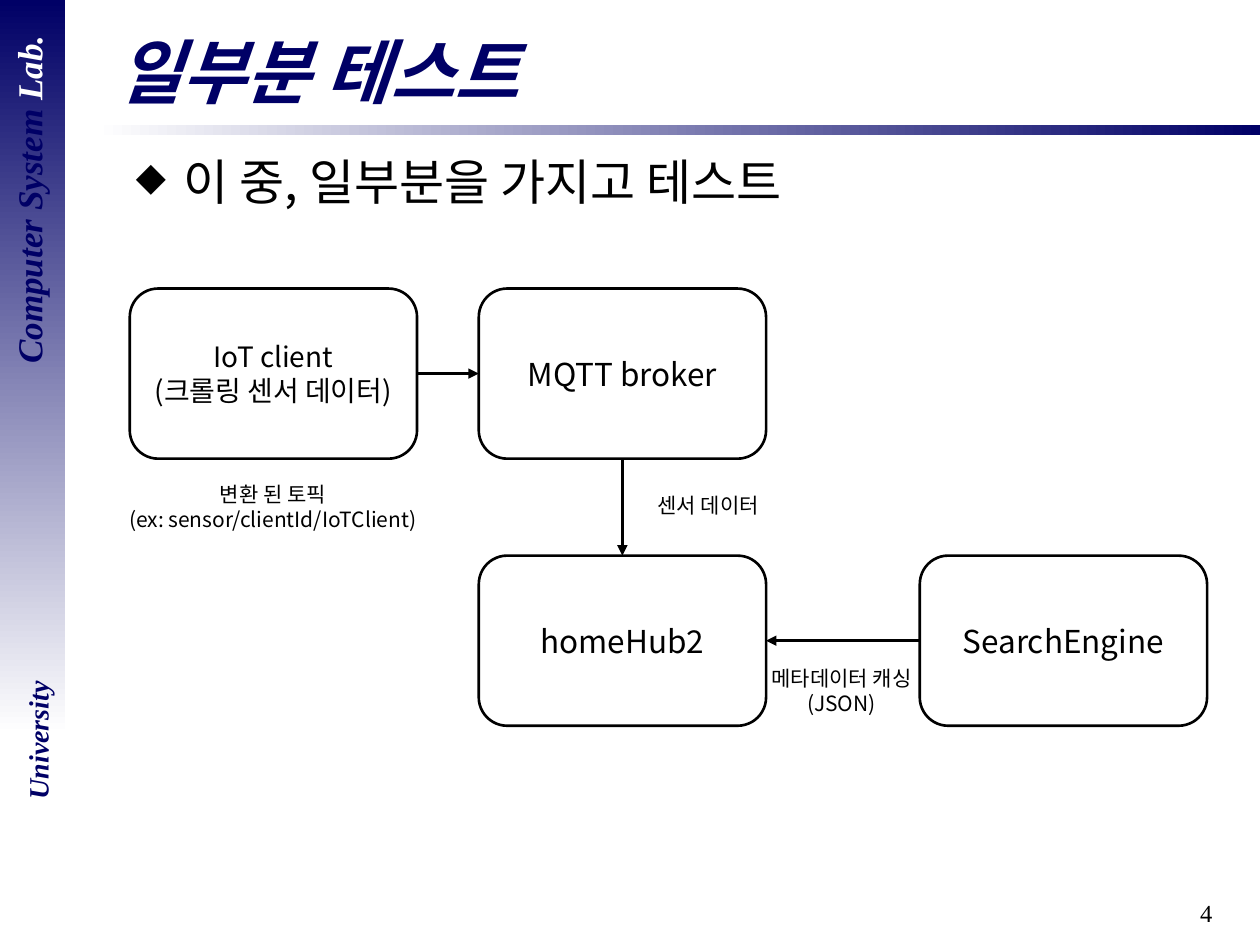
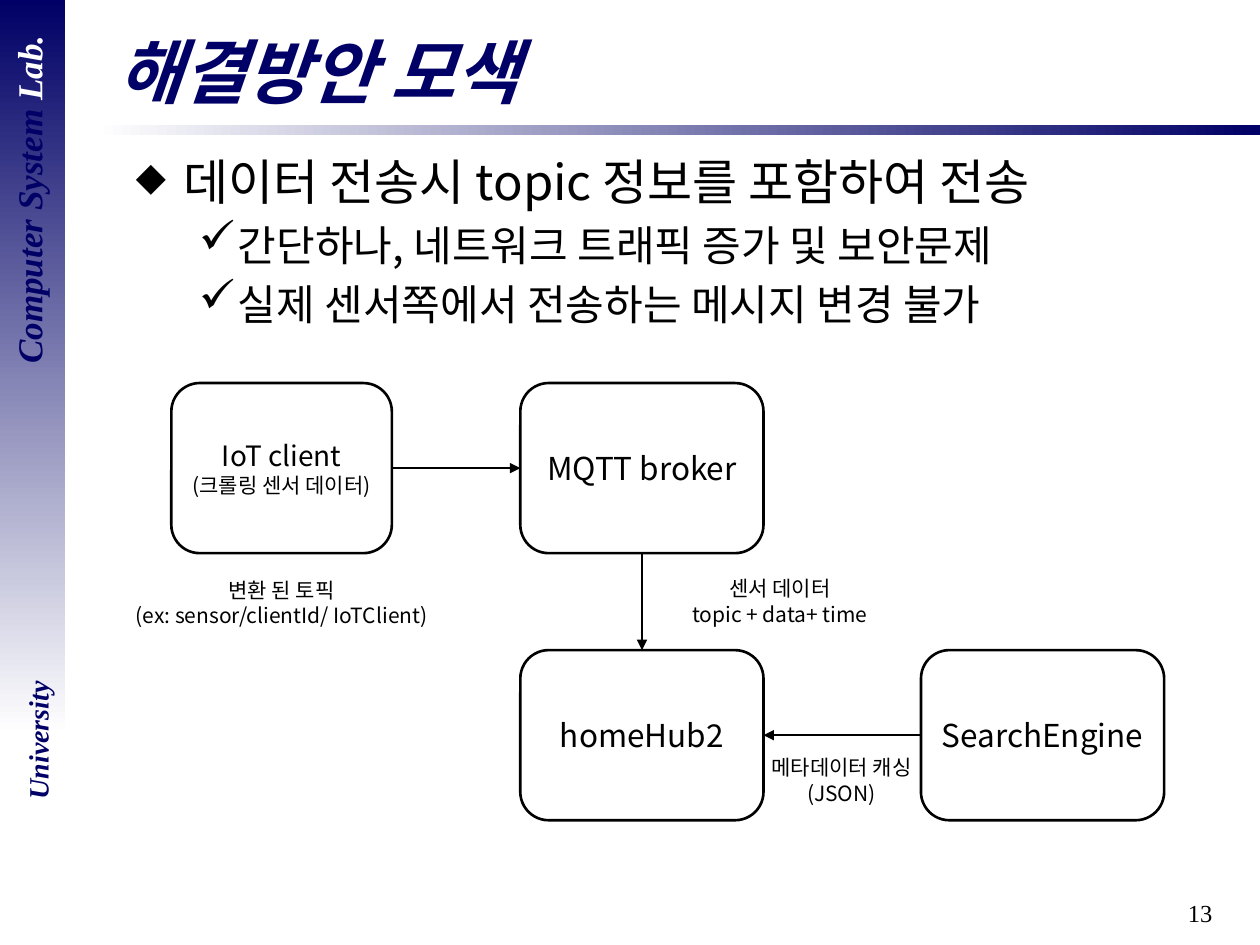
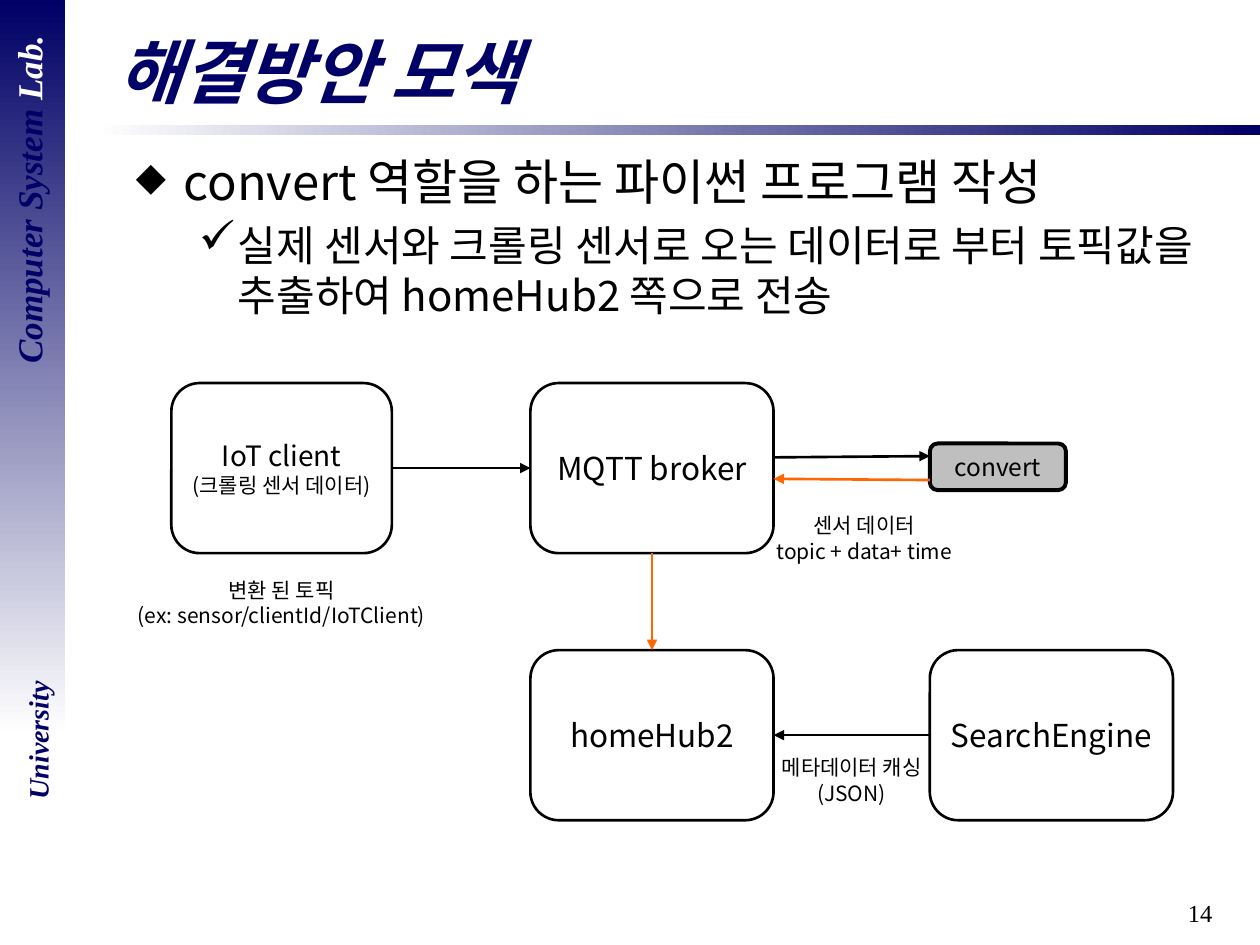
from dataclasses import dataclass
from typing import NamedTuple

from lxml import etree
from pptx import Presentation, util as u
from pptx.dml import color as dml
from pptx.enum import shapes as es, text as et
from pptx.oxml import ns

WIDE, HIGH = u.Inches(10), u.Inches(7.5)
COLS, ROWS = 100, 75  # the grid that all frames use

NAVY, BLACK, WHITE = "000066", "000000", "FFFFFF"
GREY, ORANGE = "BFBFBF", "FF6600"
SANS, SERIF = "Noto Sans CJK KR", "Times New Roman"
LEFT, MID, RIGHT = et.PP_ALIGN.LEFT, et.PP_ALIGN.CENTER, et.PP_ALIGN.RIGHT
TOP, SIDE, BASE, END = range(4)  # connection sites
LEAD = 1.21  # line pitch as a share of the text size


class Frame(NamedTuple):
    x: float
    y: float
    w: float
    h: float

    def emu(self) -> tuple:
        return (*spot(self.x, self.y), *spot(self.w, self.h))


class Line(NamedTuple):
    text: str
    size: float = 12


class Style(NamedTuple):
    font: str = SANS
    color: str = BLACK
    align: int = MID
    bold: bool = False  # bold and italic together


class Bullet(NamedTuple):
    size: int
    sign: str
    share: int
    left: float
    hang: float


@dataclass
class Box:
    frame: Frame
    lines: list
    fill: str = ""
    edge: float = 1.5


@dataclass
class Label:
    frame: Frame
    lines: list


@dataclass
class Plan:
    title: str
    page: str
    points: list  # (level, text)
    top: float  # first row of boxes
    first: Frame  # only x and w differ between slides
    hub: float
    width: float
    last: float
    note: float  # size of the second line in the first box
    flow: str
    labels: list
    convert: bool = False


BULLETS = [Bullet(28, "◆", 80, 0.38, 0.38), Bullet(24, "✓", 110, 0.81, 0.31)]
SERIF_BOLD = Style(SERIF, NAVY, MID, True)
BOX_H, STEP = 13.5, 21.2


# Helpers
def spot(x: float, y: float) -> tuple:
    return int(WIDE * x / COLS), int(HIGH * y / ROWS)


def rgb(code: str) -> dml.RGBColor:
    return dml.RGBColor.from_string(code)


def child(parent, tag: str, **attrs):
    return etree.SubElement(parent, ns.qn(tag), **attrs)


def write(par, line: Line, style: Style) -> None:
    par.text = line.text
    par.alignment = style.align
    font = par.font
    font.size, font.name = u.Pt(line.size), style.font
    font.bold = font.italic = style.bold
    font.color.rgb = rgb(style.color)
    child(par._p.pPr.find(ns.qn("a:defRPr")), "a:ea", typeface=style.font)
    if style.font == SANS:
        par.line_spacing = u.Pt(round(line.size * LEAD, 1))


def fill_text(frame, lines: list, style: Style = Style()) -> None:
    frame.word_wrap = True
    for i, line in enumerate(lines):
        par = frame.add_paragraph() if i else frame.paragraphs[0]
        write(par, line, style)


def add_text(slide, frame: Frame, lines: list, style: Style = Style(), turn: int = 0):
    box = slide.shapes.add_textbox(*frame.emu())
    box.rotation = turn
    fill_text(box.text_frame, lines, style)
    return box


def add_fade(slide, frame: Frame, start: str, stop: str, angle: int) -> None:
    band = slide.shapes.add_shape(es.MSO_SHAPE.RECTANGLE, *frame.emu())
    band.shadow.inherit = False
    band.line.fill.background()
    band.fill.gradient()
    band.fill.gradient_angle = angle
    for mark, code in zip(band.fill.gradient_stops, (start, stop)):
        mark.color.rgb = rgb(code)


def add_box(slide, box: Box):
    shape = slide.shapes.add_shape(es.MSO_SHAPE.ROUNDED_RECTANGLE, *box.frame.emu())
    shape.shadow.inherit = False
    if box.fill:
        shape.fill.solid()
        shape.fill.fore_color.rgb = rgb(box.fill)
    else:
        shape.fill.background()
    shape.line.color.rgb = rgb(BLACK)
    shape.line.width = u.Pt(box.edge)
    shape.text_frame.vertical_anchor = et.MSO_ANCHOR.MIDDLE
    fill_text(shape.text_frame, box.lines)
    return shape


def add_arrow(slide, start: tuple = (0, 0), stop: tuple = (0, 0), color: str = BLACK):
    line = slide.shapes.add_connector(
        es.MSO_CONNECTOR.STRAIGHT, *spot(*start), *spot(*stop))
    line.line.color.rgb = rgb(color)
    line.line.width = u.Pt(1.5)
    child(line.line._get_or_add_ln(), "a:tailEnd", type="triangle")
    child(line._element.spPr, "a:effectLst")
    return line


def join(slide, a, a_site: int, b, b_site: int, color: str = BLACK) -> None:
    line = add_arrow(slide, color=color)
    line.begin_connect(a, a_site)
    line.end_connect(b, b_site)


# Parts that all slides share
def add_base(slide, plan: Plan) -> None:
    add_fade(slide, Frame(7.5, 9.9, 92.5, 0.8), WHITE, NAVY, 0)
    add_fade(slide, Frame(0, 0, 5.15, 58.3), NAVY, WHITE, 270)
    add_text(slide, Frame(76.4, 70.8, 20.8, 4.2), [Line(plan.page, 14)],
             Style(SERIF, BLACK, RIGHT))
    lab = add_text(slide, Frame(-13.1, 13.7, 30.7, 4.3),
                   [Line("Computer System ", 20)], SERIF_BOLD, 270)
    run = lab.text_frame.paragraphs[0].add_run()
    run.text = "Lab."
    run.font.color.rgb = rgb(WHITE)
    add_text(slide, Frame(-4.1, 56.9, 14.2, 3.7), [Line("University", 16)],
             SERIF_BOLD, 270)

    title = slide.shapes.title
    title.left, title.top, title.width, title.height = Frame(8.3, 1.7, 89, 7.7).emu()
    title.text_frame.auto_size = et.MSO_AUTO_SIZE.NONE
    title.text_frame.vertical_anchor = et.MSO_ANCHOR.MIDDLE
    fill_text(title.text_frame, [Line(plan.title, 40)], Style(SANS, NAVY, LEFT, True))


def add_points(slide, points: list) -> None:
    kinds = [BULLETS[level] for level, _ in points]
    lines = [Line(words, kind.size) for kind, (_, words) in zip(kinds, points)]
    body = add_text(slide, Frame(9.8, 11.5, 88.1, 57.4), lines, Style(align=LEFT))
    for par, kind in zip(body.text_frame.paragraphs, kinds):
        par.space_before = u.Pt(round(kind.size * 0.2, 1))
        props = par._p.pPr
        props.set("marL", str(u.Inches(kind.left)))
        props.set("indent", str(-u.Inches(kind.hang)))
        font = props.find(ns.qn("a:defRPr"))
        font.addprevious(child(props, "a:buSzPct", val=str(kind.share * 1000)))
        font.addprevious(child(props, "a:buChar", char=kind.sign))


# Diagram of boxes, arrows and labels
def add_flow(slide, plan: Plan) -> None:
    low = plan.top + STEP
    client = add_box(slide, Box(plan.first, [
        Line("IoT client", 16), Line("(크롤링 센서 데이터)", plan.note)]))
    broker, home, search = (
        add_box(slide, Box(Frame(x, y, plan.width, BOX_H), [Line(name, 18)]))
        for x, y, name in ((plan.hub, plan.top, "MQTT broker"),
                           (plan.hub, low, "homeHub2"),
                           (plan.last, low, "SearchEngine")))
    join(slide, client, END, broker, SIDE)
    join(slide, broker, BASE, home, TOP, plan.flow)
    join(slide, search, SIDE, home, END)
    for label in plan.labels:
        add_text(slide, label.frame, [Line(words) for words in label.lines])
    if plan.convert:
        edge = plan.hub + plan.width
        add_box(slide, Box(Frame(plan.last, 35.2, 10.8, 3.7),
                           [Line("convert", 14)], GREY, 2.25))
        add_arrow(slide, (edge, 36.3), (plan.last, 36.2))
        add_arrow(slide, (plan.last, 38.1), (edge, 38), ORANGE)


def cache(x: float, y: float) -> Label:
    return Label(Frame(x, y, 18.4, 5), ["메타데이터 캐싱", "(JSON)"])


def sensor(x: float, y: float, *more: str) -> Label:
    return Label(Frame(x, y, 18.4, 3 + 2 * len(more)), ["센서 데이터", *more])


def topic(x: float, y: float, name: str = "IoTClient") -> Label:
    return Label(Frame(x, y, 29.9, 5),
                 ["변환 된 토픽", f"(ex: sensor/clientId/{name})"])


DATA = "topic + data+ time"
SMALL = Frame(13.6, 30.4, 17.5, BOX_H)
PLANS = [
    Plan("일부분 테스트", "4", [(0, "이 중, 일부분을 가지고 테스트")],
         22.9, Frame(10.3, 22.9, 22.8, BOX_H), 38, 22.8, 73, 16, BLACK,
         [cache(57.6, 52.3), sensor(47, 38.6), topic(6.7, 37.7)]),
    Plan("해결방안 모색", "13",
         [(0, "데이터 전송시 topic 정보를 포함하여 전송"),
          (1, "간단하나, 네트워크 트래픽 증가 및 보안문제"),
          (1, "실제 센서쪽에서 전송하는 메시지 변경 불가")],
         30.4, SMALL, 41.3, 19.3, 73.1, 12, BLACK,
         [cache(57.6, 59.4), sensor(52.7, 45.2, DATA),
          topic(7.4, 45.3, " IoTClient")]),
    Plan("해결방안 모색", "14",
         [(0, "convert 역할을 하는 파이썬 프로그램 작성"),
          (1, "실제 센서와 크롤링 센서로 오는 데이터로 부터 토픽값을 "
              "추출하여 homeHub2 쪽으로 전송")],
         30.4, SMALL, 42.1, 19.3, 73.8, 12, ORANGE,
         [cache(58.4, 59.4), sensor(59.4, 40.2, DATA), topic(7.4, 45.3)], True),
]


def main() -> None:
    deck = Presentation()
    deck.slide_width, deck.slide_height = WIDE, HIGH
    for plan in PLANS:
        slide = deck.slides.add_slide(deck.slide_layouts[5])
        add_base(slide, plan)
        add_points(slide, plan.points)
        add_flow(slide, plan)
    deck.save("out.pptx")


if __name__ == "__main__":
    main()
